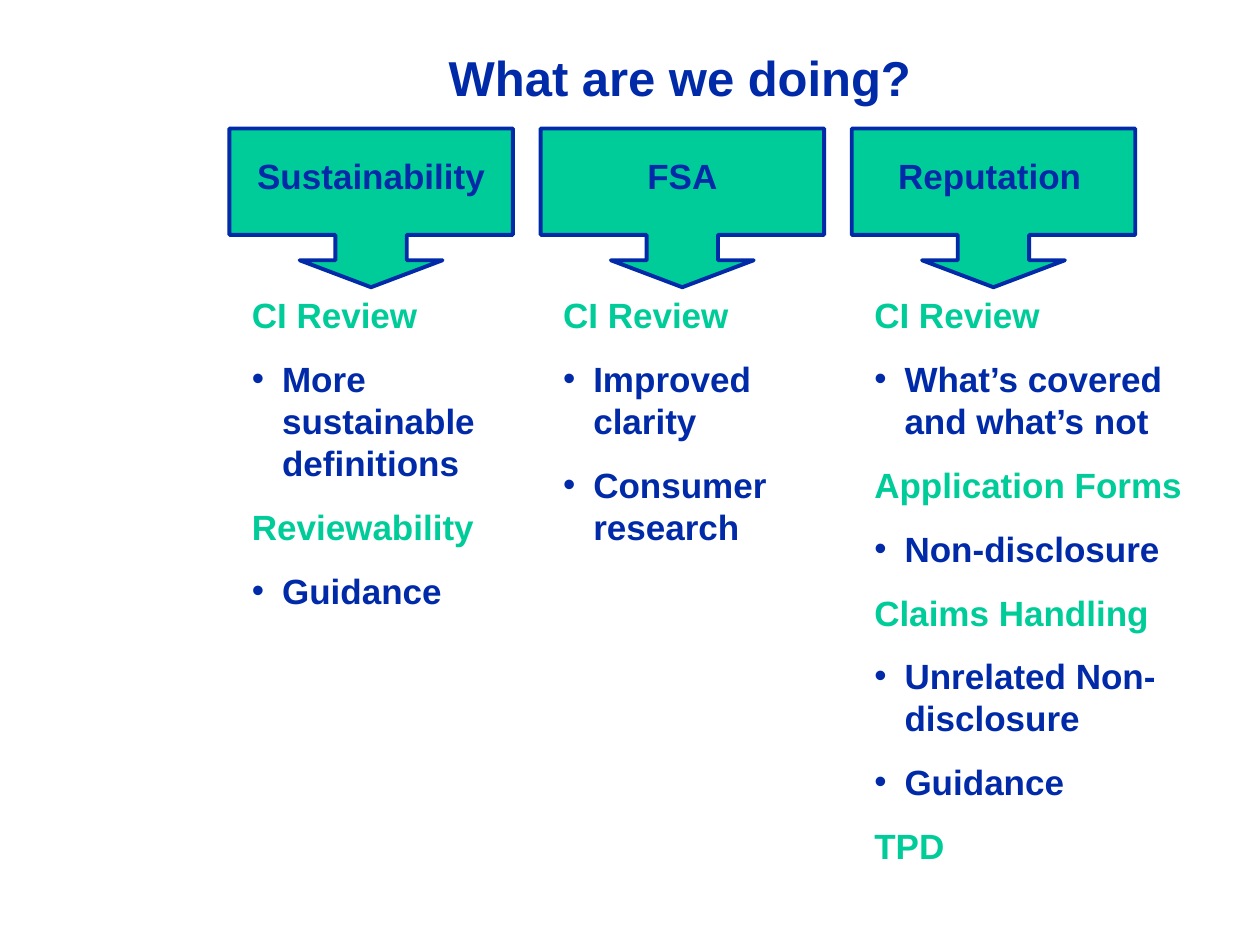
from lxml.etree import SubElement
from pptx import Presentation
from pptx.dml.color import RGBColor
from pptx.enum.shapes import MSO_SHAPE as Shape
from pptx.enum.text import MSO_AUTO_SIZE as AutoSize, PP_ALIGN as Align
from pptx.oxml.ns import qn
from pptx.util import Inches, Pt

COLORS = {"navy": "002AA8", "green": "00CC99"}
FONT = "Arial"
COLUMN_LEFT, COLUMN_STEP, COLUMN_WIDTH = 1.82, 2.47, 2.25
CALLOUT_TOP, CALLOUT_HEIGHT = 1.02, 1.26
LABEL_TOP, LABEL_HEIGHT = 1.18, 0.44
LIST_TOP, LIST_SHIFT = 2.28, 0.08
BULLET_INDENT = 0.24

HEADING, BULLET = "heading", "bullet"
COLUMNS = [
    {"label": "Sustainability", "label_shift": 0, "width": 2.25, "height": 2.62, "items": [
        (HEADING, "CI Review"),
        (BULLET, "More sustainable definitions"),
        (HEADING, "Reviewability"),
        (BULLET, "Guidance"),
    ]},
    {"label": "FSA", "label_shift": 0, "width": 2.25, "height": 2.12, "items": [
        (HEADING, "CI Review"),
        (BULLET, "Improved clarity"),
        (BULLET, "Consumer research"),
    ]},
    {"label": "Reputation", "label_shift": -0.03, "width": 2.88, "height": 4.65, "items": [
        (HEADING, "CI Review"),
        (BULLET, "What’s covered and what’s not"),
        (HEADING, "Application Forms"),
        (BULLET, "Non-disclosure"),
        (HEADING, "Claims Handling"),
        (BULLET, "Unrelated Non-disclosure"),
        (BULLET, "Guidance"),
        (HEADING, "TPD"),
    ]},
]


def color(name):
    return RGBColor.from_string(COLORS[name])


def add_callout(slide, left):
    shape = slide.shapes.add_shape(
        Shape.DOWN_ARROW_CALLOUT, Inches(left), Inches(CALLOUT_TOP),
        Inches(COLUMN_WIDTH), Inches(CALLOUT_HEIGHT))
    for index, value in enumerate((0.45, 0.45, 0.17, 0.67)):
        shape.adjustments[index] = value
    shape.shadow.inherit = False
    shape.fill.solid()
    shape.fill.fore_color.rgb = color("green")
    shape.line.color.rgb = color("navy")
    shape.line.width = Pt(2.25)


def add_text_box(slide, left, top, width, height):
    box = slide.shapes.add_textbox(*map(Inches, (left, top, width, height)))
    frame = box.text_frame
    frame.word_wrap = True
    frame.auto_size = AutoSize.SHAPE_TO_FIT_TEXT
    return frame


def add_run(paragraph, text, color_name, size=20):
    run = paragraph.add_run()
    run.text = text
    run.font.name = FONT
    run.font.size = Pt(size)
    run.font.bold = True
    run.font.color.rgb = color(color_name)


def add_bullet(paragraph):
    properties = paragraph._p.get_or_add_pPr()
    properties.set("marL", str(Inches(BULLET_INDENT)))
    properties.set("indent", str(-Inches(BULLET_INDENT)))
    bullet_color = SubElement(properties, qn("a:buClr"))
    SubElement(bullet_color, qn("a:srgbClr"), val=COLORS["navy"])
    SubElement(properties, qn("a:buFont"), typeface=FONT)
    SubElement(properties, qn("a:buChar"), char="•")


def add_centered_text(slide, bounds, text, size=20, line_spacing=None):
    paragraph = add_text_box(slide, *bounds).paragraphs[0]
    paragraph.alignment = Align.CENTER
    paragraph.line_spacing = line_spacing
    add_run(paragraph, text, "navy", size)


def add_list(slide, left, column):
    frame = add_text_box(slide, left, LIST_TOP, column["width"], column["height"])
    for index, (kind, text) in enumerate(column["items"]):
        paragraph = frame.add_paragraph() if index else frame.paragraphs[0]
        if index:
            paragraph.space_before = Pt(12.5)
        if kind == BULLET:
            add_bullet(paragraph)
        add_run(paragraph, text, "navy" if kind == BULLET else "green")


def main():
    presentation = Presentation()
    presentation.slide_width = Inches(10)
    presentation.slide_height = Inches(7.5)
    slide = presentation.slides.add_slide(presentation.slide_layouts[6])
    add_centered_text(slide, (1.77, 0.42, 7.25, 0.48), "What are we doing?", 28, 0.8)
    for index, column in enumerate(COLUMNS):
        left = COLUMN_LEFT + index * COLUMN_STEP
        add_callout(slide, left)
        label_left = left + column["label_shift"]
        add_centered_text(
            slide, (label_left, LABEL_TOP, COLUMN_WIDTH, LABEL_HEIGHT), column["label"])
        add_list(slide, left + LIST_SHIFT, column)
    presentation.save("out.pptx")


if __name__ == "__main__":
    main()
